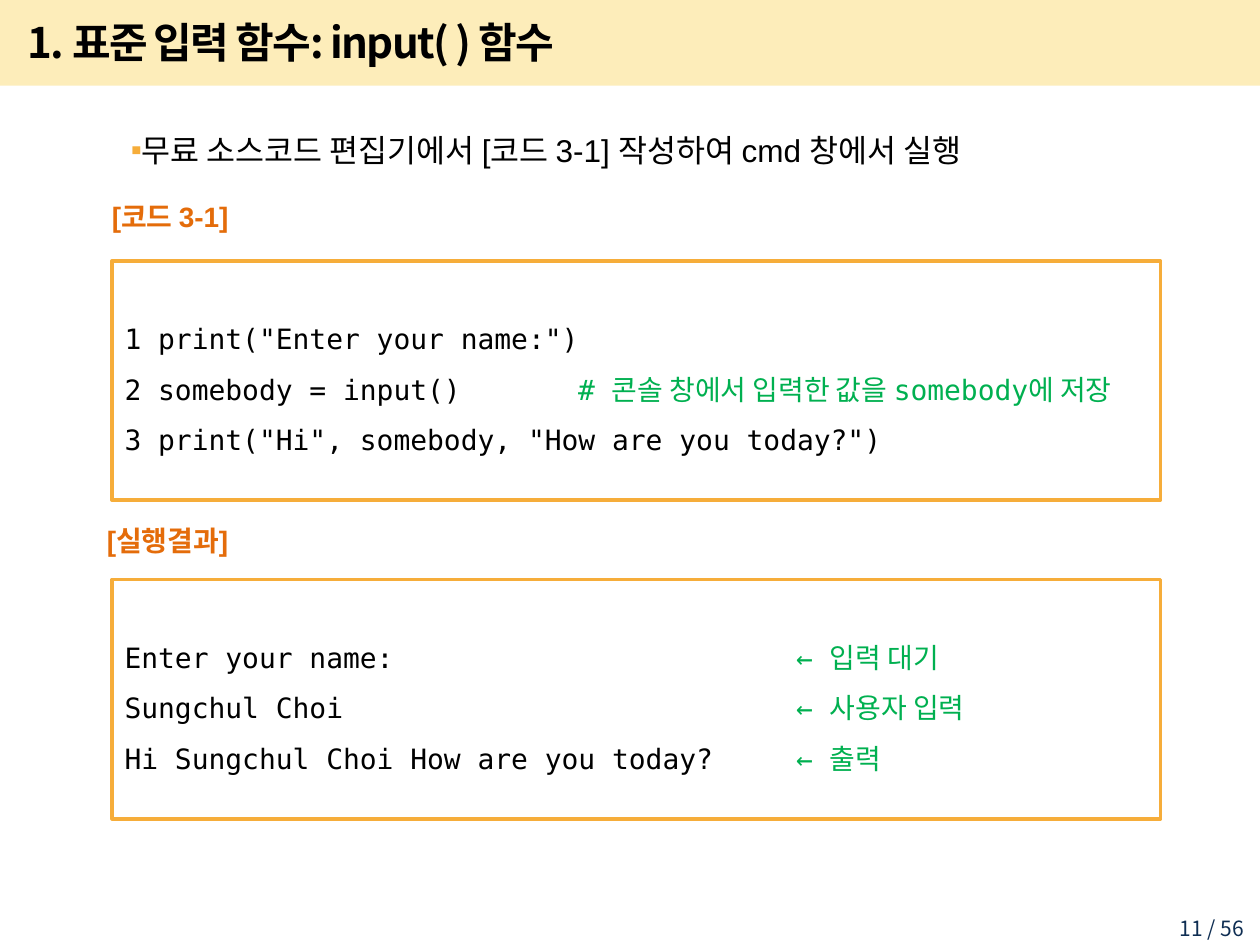
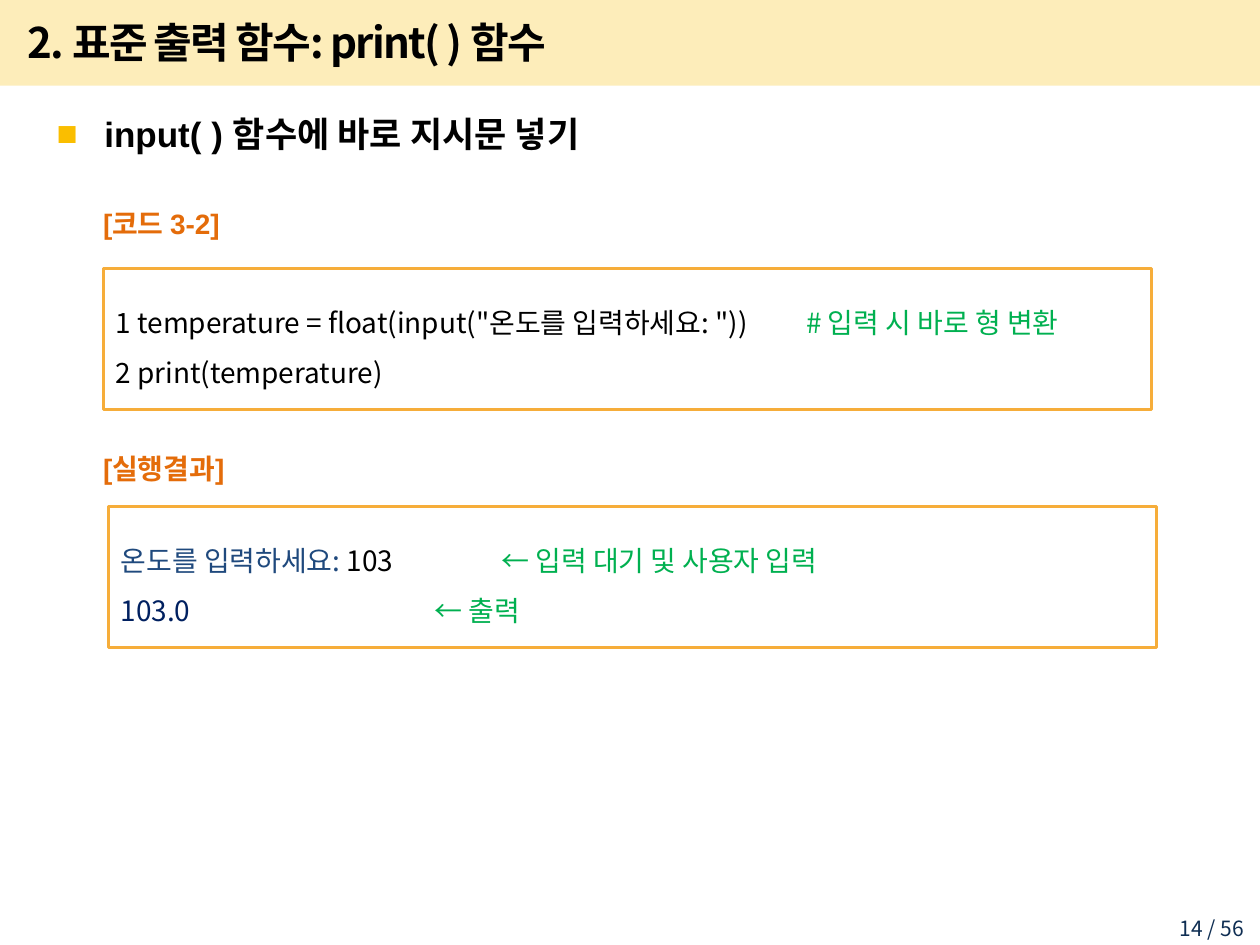
import pptx
import pptx.util
import pptx.dml.color
import pptx.enum.shapes
import pptx.enum.text
import pptx.oxml.ns
from lxml import etree

Inches = pptx.util.Inches
Pt = pptx.util.Pt
RGBColor = pptx.dml.color.RGBColor
Align = pptx.enum.text.PP_ALIGN
Anchor = pptx.enum.text.MSO_ANCHOR
qn = pptx.oxml.ns.qn

BLACK = RGBColor(0x00, 0x00, 0x00)
GOLD = RGBColor(0xFA, 0xBE, 0x00)
AMBER = RGBColor(0xF6, 0xAD, 0x3A)
ORANGE = RGBColor(0xE4, 0x6C, 0x0A)
GREEN = RGBColor(0x00, 0xB0, 0x50)
BLUE = RGBColor(0x1F, 0x49, 0x7D)
NAVY = RGBColor(0x00, 0x20, 0x60)
INK = RGBColor(0x0F, 0x2E, 0x53)

SANS = "Arial"
MONO = "DejaVu Sans Mono"
NOTO = "Noto Sans CJK KR"
TOTAL = 56


class Deck:
    """Holds the shared style and the current slide."""

    def __init__(self):
        self.prs = pptx.Presentation()
        self.prs.slide_width = Inches(10)
        self.prs.slide_height = Inches(7.5)
        self.slide = None

    def style(self, para, face, size, color=None, bold=False):
        font = para.font
        font.name, font.size, font.bold = face, Pt(size), bold
        if color is not None:
            font.color.rgb = color
        # Korean glyphs take the East Asian face
        props = para._p.pPr.find(qn("a:defRPr"))
        east = etree.Element(qn("a:ea"), typeface=NOTO)
        props.find(qn("a:latin")).addnext(east)
        return props

    def start(self, title, page):
        self.slide = self.prs.slides.add_slide(self.prs.slide_layouts[5])
        self.band()
        self.title(title)
        para = self.text(9.05, 7.22, 0.92, 0.23, f"{page} / {TOTAL}")
        para.alignment = Align.RIGHT
        self.style(para, NOTO, 12, INK)

    def rect(self, left, top, width, height):
        shape = self.slide.shapes.add_shape(
            pptx.enum.shapes.MSO_SHAPE.RECTANGLE,
            Inches(left), Inches(top), Inches(width), Inches(height))
        shape.shadow.inherit = False
        return shape

    def band(self):
        band = self.rect(0, 0, 10, 0.68)
        band.line.fill.background()
        band.fill.solid()
        band.fill.fore_color.rgb = GOLD
        tint = band._element.spPr.find(".//" + qn("a:srgbClr"))
        etree.SubElement(tint, qn("a:alpha"), val="27000")
        # Send the band behind the title
        self.slide.shapes._spTree.insert(2, band._element)

    def title(self, words):
        title = self.slide.shapes.title
        title.left, title.top = Inches(0.12), Inches(0.07)
        title.width, title.height = Inches(8.51), Inches(0.52)
        frame = title.text_frame
        frame.text = words
        frame.vertical_anchor = Anchor.MIDDLE
        para = frame.paragraphs[0]
        para.alignment = Align.LEFT
        self.style(para, NOTO, 24, BLACK, True).set("spc", "-100")

    def text(self, left, top, width, height, words, anchor=Anchor.TOP):
        box = self.slide.shapes.add_textbox(
            Inches(left), Inches(top), Inches(width), Inches(height))
        frame = box.text_frame
        frame.word_wrap = True
        frame.vertical_anchor = anchor
        frame.text = words
        return frame.paragraphs[0]

    def point(self, words, mark, tint, margin, indent, size, gap=1, bold=False):
        para = self.text(0.35, 0.84, 9.15, 0.6, words)
        props = para._p.get_or_add_pPr()
        props.set("marL", str(Inches(margin)))
        props.set("indent", str(Inches(indent)))
        color = etree.SubElement(props, qn("a:buClr"))
        etree.SubElement(color, qn("a:srgbClr"), val=str(tint))
        etree.SubElement(props, qn("a:buFont"), typeface=SANS)
        etree.SubElement(props, qn("a:buChar"), char=mark)
        para.line_spacing = gap
        self.style(para, SANS, size, BLACK, bold)

    def label(self, left, top, height, words):
        para = self.text(left, top, 1.57, height, words, Anchor.MIDDLE)
        self.style(para, SANS, 16, ORANGE, True)

    def code(self, left, top, height, face, lines):
        """Each line is a tab stop and its (text, colour) parts."""
        box = self.rect(left, top, 8.32, height)
        box.fill.background()
        box.line.color.rgb = AMBER
        box.line.width = Pt(2)
        frame = box.text_frame
        frame.word_wrap = True
        frame.vertical_anchor = Anchor.MIDDLE
        for row, (stop, *parts) in enumerate(lines):
            para = frame.add_paragraph() if row else frame.paragraphs[0]
            para.alignment = Align.LEFT
            para.line_spacing = 1.5
            if stop:
                tabs = etree.SubElement(para._p.get_or_add_pPr(), qn("a:tabLst"))
                etree.SubElement(tabs, qn("a:tab"), pos=str(Inches(stop)), algn="l")
            self.style(para, face, 16)
            for words, color in parts:
                run = para.add_run()
                run.text = words
                run.font.color.rgb = color


def main():
    deck = Deck()

    # Standard input
    deck.start("1. 표준 입력 함수: input( ) 함수", 11)
    deck.point("무료 소스코드 편집기에서 [코드 3-1] 작성하여 cmd 창에서 실행",
               "▪", AMBER, 0.39, 0.2, 18, gap=1.5)
    deck.label(0.79, 1.47, 0.5, "[코드 3-1]")
    deck.code(0.89, 2.07, 1.9, MONO, [
        (None, ('1 print("Enter your name:")', BLACK)),
        (3.6, ("2 somebody = input()\t", BLACK),
         ("# 콘솔 창에서 입력한 값을 somebody에 저장", GREEN)),
        (None, ('3 print("Hi", somebody, "How are you today?")', BLACK)),
    ])
    deck.label(0.75, 4.01, 0.55, "[실행결과]")
    shown = [("Enter your name:", "입력 대기"),
             ("Sungchul Choi", "사용자 입력"),
             ("Hi Sungchul Choi How are you today?", "출력")]
    deck.code(0.89, 4.6, 1.9, MONO, [
        (5.33, (f"{line}\t", BLACK), (f"← {note}", GREEN))
        for line, note in shown])

    # Prompt inside input
    deck.start("2. 표준 출력 함수: print( ) 함수", 14)
    deck.point("input( ) 함수에 바로 지시문 넣기",
               "■", GOLD, 0.38, -0.38, 20, bold=True)
    deck.label(0.72, 1.52, 0.5, "[코드 3-2]")
    deck.code(0.82, 2.13, 1.12, NOTO, [
        (5.48, ('1 temperature = float(input("온도를 입력하세요: "))\t', BLACK),
         ("# 입력 시 바로 형 변환", GREEN)),
        (None, ("2 print(temperature)", BLACK)),
    ])
    deck.label(0.72, 3.44, 0.55, "[실행결과]")
    deck.code(0.86, 4.02, 1.12, NOTO, [
        (3.02, ("온도를 입력하세요: ", BLUE), ("103\t", BLACK),
         ("← 입력 대기 및 사용자 입력", GREEN)),
        (2.49, ("103.0\t", NAVY), ("← 출력", GREEN)),
    ])

    deck.prs.save("out.pptx")


if __name__ == "__main__":
    main()
